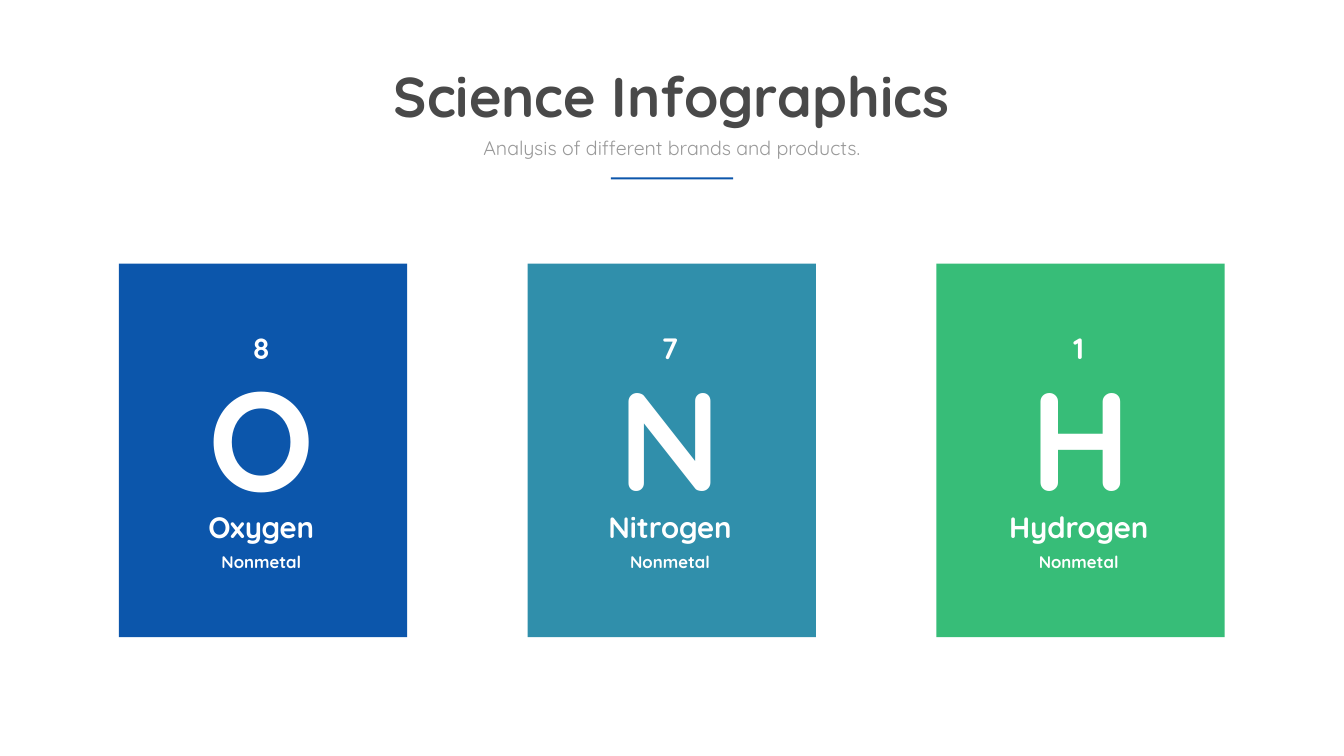
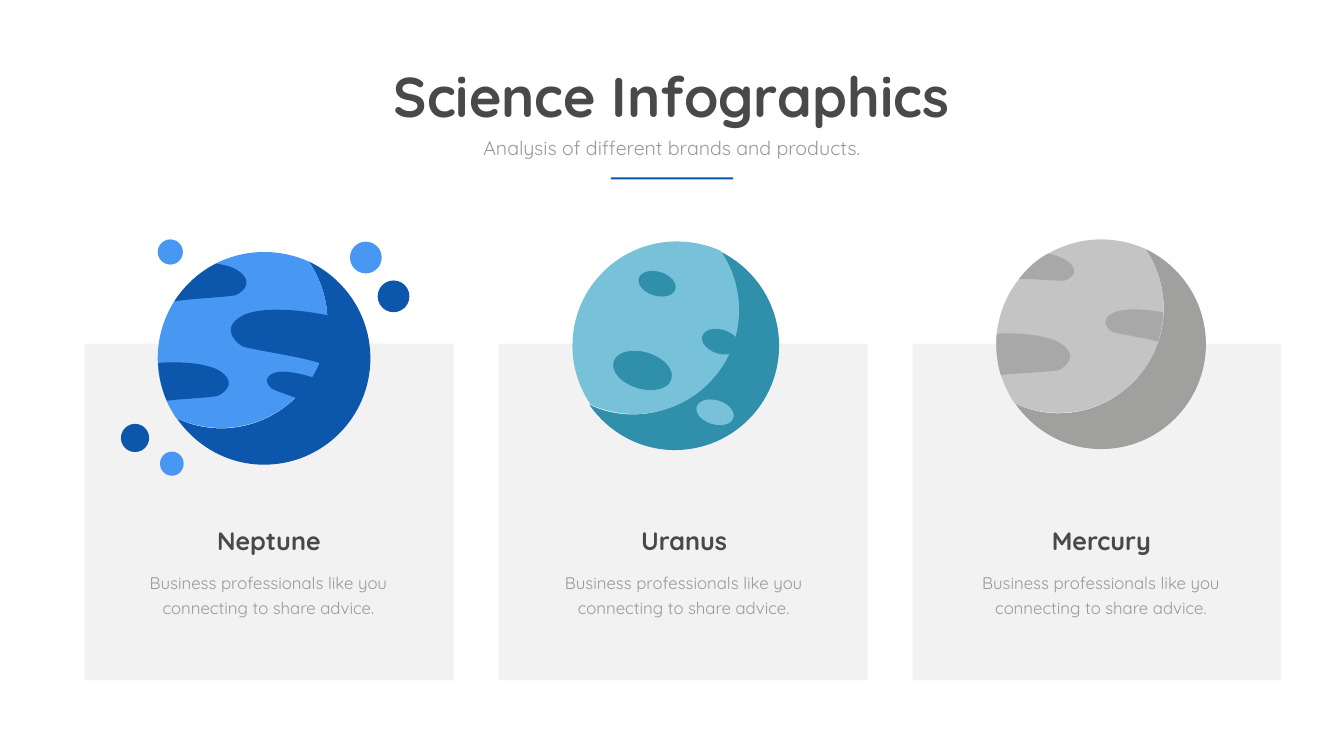
"""Build two science infographic slides: element cards and planet cards."""
from pptx import Presentation
from pptx.dml.color import RGBColor
from pptx.enum.shapes import MSO_SHAPE
from pptx.enum.text import MSO_AUTO_SIZE, PP_ALIGN
from pptx.oxml.ns import qn
from pptx.oxml.xmlchemy import OxmlElement
from pptx.util import Pt

PX = 9144
FONT = "Quicksand"
BLUE, SKY, TEAL, AQUA, GREEN = "0C56AB", "4897F2", "308FAB", "77C2D9", "37BD78"
SILVER, GRAY, STONE, PANEL = "C4C4C4", "A0A09F", "A8A8A8", "F2F2F2"
INK, MUTED, WHITE = "494949", "999999", "FFFFFF"

TITLE = "Science Infographics"
SUBTITLE = "Analysis of different brands and products."
ADVICE = "Business professionals like you connecting to share advice."

ELEMENTS = [
    ("8", "O", "Oxygen", "Nonmetal", BLUE, 256),
    ("7", "N", "Nitrogen", "Nonmetal", TEAL, 228),
    ("1", "H", "Hydrogen", "Nonmetal", GREEN, 211),
]

UNIT_RADIUS = 211
SHADE = [
    (89, -192), (112, -158), (126, -117), (126, -72), (126, 44), (31, 139), (-85, 139),
    (-117, 139), (-147, 132), (-173, 119), (-135, 174), (-72, 211), (0, 211),
    (117, 211), (211, 116), (211, 0), (211, -85), (161, -158), (89, -192),
]
LIT = [
    (89, -192), (62, -204), (32, -211), (0, -211), (-116, -211), (-211, -117), (-211, 0),
    (-211, 45), (-197, 85), (-174, 119), (-147, 131), (-117, 138), (-85, 138),
    (31, 138), (126, 44), (126, -72), (126, -117), (112, -158), (89, -192),
]

PLANETS = [
    {
        "name": "Neptune", "text_left": 260, "center": (524, 711), "radius": 211,
        "lit": SKY, "lit_shift": 0, "shade": BLUE, "patch": BLUE,
        "patches": [
            [(439, 738), (413, 719), (351, 717), (314, 720), (315, 746), (321, 772),
             (331, 795), (365, 791), (403, 790), (430, 786), (436, 785), (475, 764),
             (439, 738)],
            [(474, 538), (464, 530), (447, 526), (429, 523), (395, 540), (367, 566),
             (346, 598), (383, 592), (434, 591), (466, 586), (472, 585), (510, 564),
             (474, 538)],
            [(672, 633), (660, 624), (528, 600), (480, 627), (432, 654), (476, 686),
             (483, 688), (543, 703), (654, 713), (679, 744)],
            [(644, 759), (639, 753), (571, 730), (544, 740), (516, 750), (537, 771),
             (541, 772), (570, 785), (628, 800), (638, 818)],
        ],
        "ovals": [
            (338, 500, 50, 50, 0, SKY), (726, 511, 63, 63, 0, SKY),
            (781, 588, 63, 63, 0, BLUE), (341, 920, 47, 48, 0, SKY),
            (268, 869, 56, 56, 0, BLUE),
        ],
    },
    {
        "name": "Uranus", "text_left": 1084, "center": (1339, 686), "radius": 207,
        "lit": AQUA, "lit_shift": 4, "shade": TEAL, "patch": TEAL, "patches": [],
        "ovals": [
            (1275, 735, 120, 73, 17, TEAL), (1304, 563, 76, 48, 17, TEAL),
            (1430, 678, 76, 48, 17, TEAL), (1419, 818, 76, 48, 17, AQUA),
        ],
    },
    {
        "name": "Mercury", "text_left": 1912, "center": (2185, 683), "radius": 208,
        "lit": SILVER, "lit_shift": 0, "shade": GRAY, "patch": STONE,
        "patches": [
            [(2107, 683), (2081, 664), (2019, 660), (1978, 662), (1977, 669), (1977, 676),
             (1977, 683), (1977, 705), (1981, 726), (1986, 744), (2024, 740), (2068, 739),
             (2098, 735), (2104, 735), (2146, 711), (2107, 683)],
            [(2111, 557), (2115, 557), (2147, 544), (2122, 521), (2113, 513), (2097, 507),
             (2080, 503), (2059, 514), (2039, 531), (2022, 554), (2050, 553), (2087, 557),
             (2111, 557)],
            [(2207, 622), (2177, 638), (2205, 658), (2209, 659), (2233, 665), (2270, 670),
             (2298, 678), (2303, 660), (2307, 640), (2308, 620), (2281, 614), (2229, 609),
             (2207, 622)],
        ],
        "ovals": [],
    },
]


def color(value):
    return RGBColor.from_string(value)


def paint(shape, fill):
    shape.shadow.inherit = False
    shape.fill.solid()
    shape.fill.fore_color.rgb = color(fill)
    shape.line.fill.background()


def add_shape(page, kind, left, top, width, height, fill):
    shape = page.shapes.add_shape(kind, *(round(n * PX) for n in (left, top, width, height)))
    paint(shape, fill)
    return shape


def add_text(page, text, left, top, width, height, size=24, ink=INK, bold=False,
             wrap=True, spacing=None):
    box = page.shapes.add_textbox(*(round(n * PX) for n in (left, top, width, height)))
    frame = box.text_frame
    frame.word_wrap = wrap
    frame.auto_size = MSO_AUTO_SIZE.SHAPE_TO_FIT_TEXT
    para = frame.paragraphs[0]
    para.alignment = PP_ALIGN.CENTER
    if spacing:
        para.line_spacing = Pt(spacing)
    span = para.add_run()
    span.text = text
    span.font.name = FONT
    span.font.size = Pt(size)
    span.font.bold = bold
    span.font.color.rgb = color(ink)


def add_curve(page, points, fill):
    """Draw a start point and Bezier triples as one closed outline."""
    corners = [(round(x * PX), round(y * PX)) for x, y in points]
    builder = page.shapes.build_freeform(*corners[0])
    builder.add_line_segments(corners[1:], close=True)
    shape = builder.convert_to_shape()
    lines = list(shape.element.iter(qn("a:lnTo")))
    for index in range(0, len(lines), 3):
        curve = OxmlElement("a:cubicBezTo")
        lines[index].addprevious(curve)
        for line in lines[index:index + 3]:
            curve.append(line[0])
            line.getparent().remove(line)
    paint(shape, fill)


def add_page(deck):
    page = deck.slides.add_slide(deck.slide_layouts[6])
    add_text(page, TITLE, 749, 117, 1167, 145, size=80, bold=True, wrap=False)
    add_text(page, SUBTITLE, 855, 265, 956, 57, size=28, ink=MUTED)
    add_shape(page, MSO_SHAPE.RECTANGLE, 1212, 352, 243, 4, BLUE)
    return page


def add_elements(page):
    for index, (number, symbol, name, family, fill, symbol_width) in enumerate(ELEMENTS):
        left = 236 + 811 * index
        text_left, text_width = left + 38, 489
        symbol_left = text_left + (text_width - symbol_width) / 2
        add_shape(page, MSO_SHAPE.RECTANGLE, left, 523, 572, 741, fill)
        add_text(page, symbol, symbol_left, 693, symbol_width, 347,
                 size=200, ink=WHITE, bold=True, wrap=False)
        for text, top, height, size in ((name, 1005, 81, 42), (family, 1090, 50, 24),
                                        (number, 651, 81, 42)):
            add_text(page, text, text_left, top, text_width, height,
                     size=size, ink=WHITE, bold=True)


def add_planet(page, planet):
    center_x, center_y = planet["center"]
    scale = planet["radius"] / UNIT_RADIUS
    for curve, shift, fill in ((SHADE, 0, planet["shade"]),
                               (LIT, planet["lit_shift"], planet["lit"])):
        points = [(center_x + shift + x * scale, center_y + y * scale) for x, y in curve]
        add_curve(page, points, fill)
    for patch in planet["patches"]:
        add_curve(page, patch, planet["patch"])
    for x, y, width, height, angle, fill in planet["ovals"]:
        oval = add_shape(page, MSO_SHAPE.OVAL, x - width / 2, y - height / 2,
                         width, height, fill)
        oval.rotation = angle


def add_planets(page):
    for index, planet in enumerate(PLANETS):
        add_shape(page, MSO_SHAPE.RECTANGLE, 168 + 821.5 * index, 682, 732, 668, PANEL)
        add_planet(page, planet)
        left = planet["text_left"]
        add_text(page, ADVICE, left, 1120, 545, 113, ink=MUTED, spacing=36.6)
        add_text(page, planet["name"], left + 29, 1037, 489, 71, size=36, bold=True)


def main():
    deck = Presentation()
    deck.slide_width, deck.slide_height = 2667 * PX, 1500 * PX
    add_elements(add_page(deck))
    add_planets(add_page(deck))
    deck.save("out.pptx")


if __name__ == "__main__":
    main()
